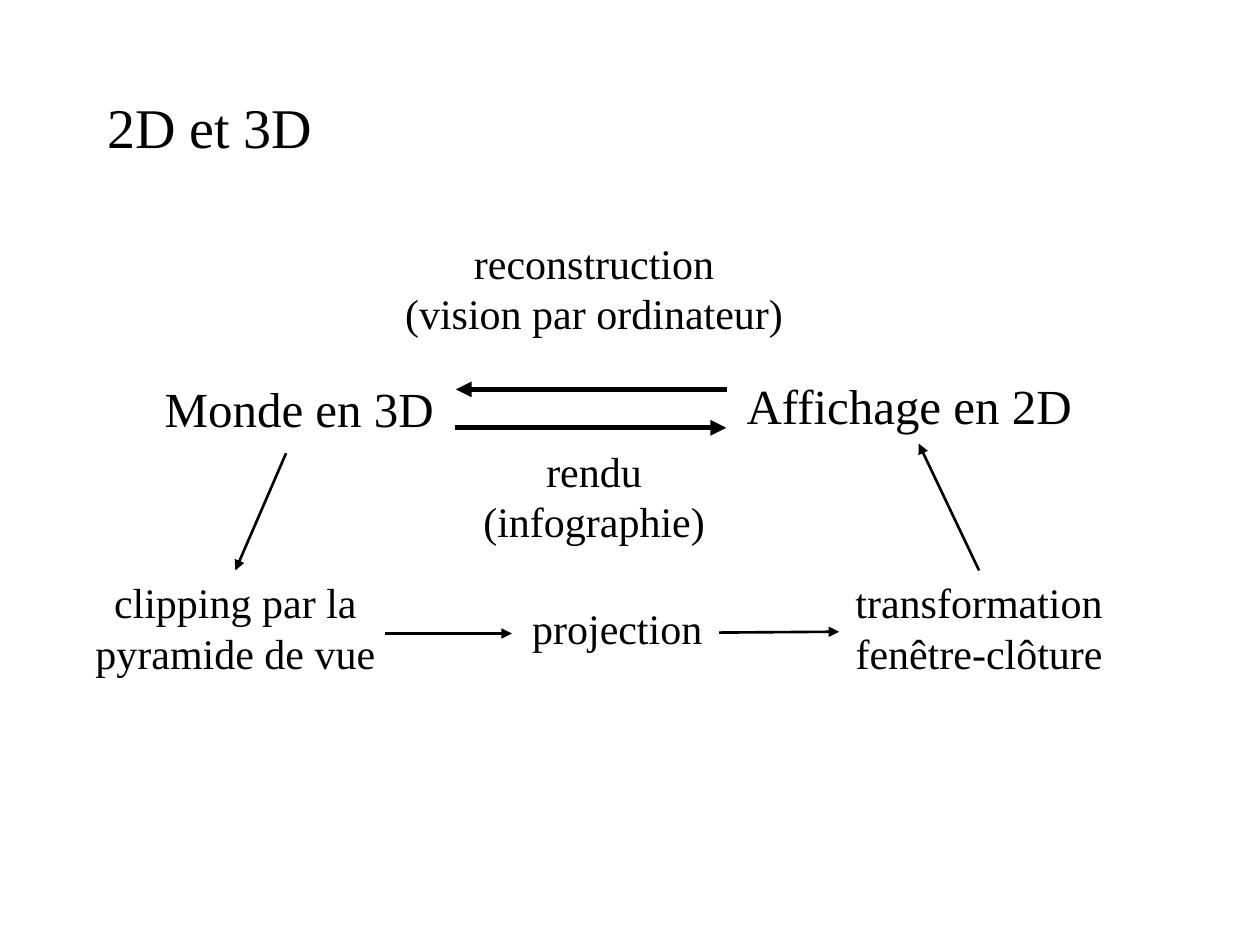
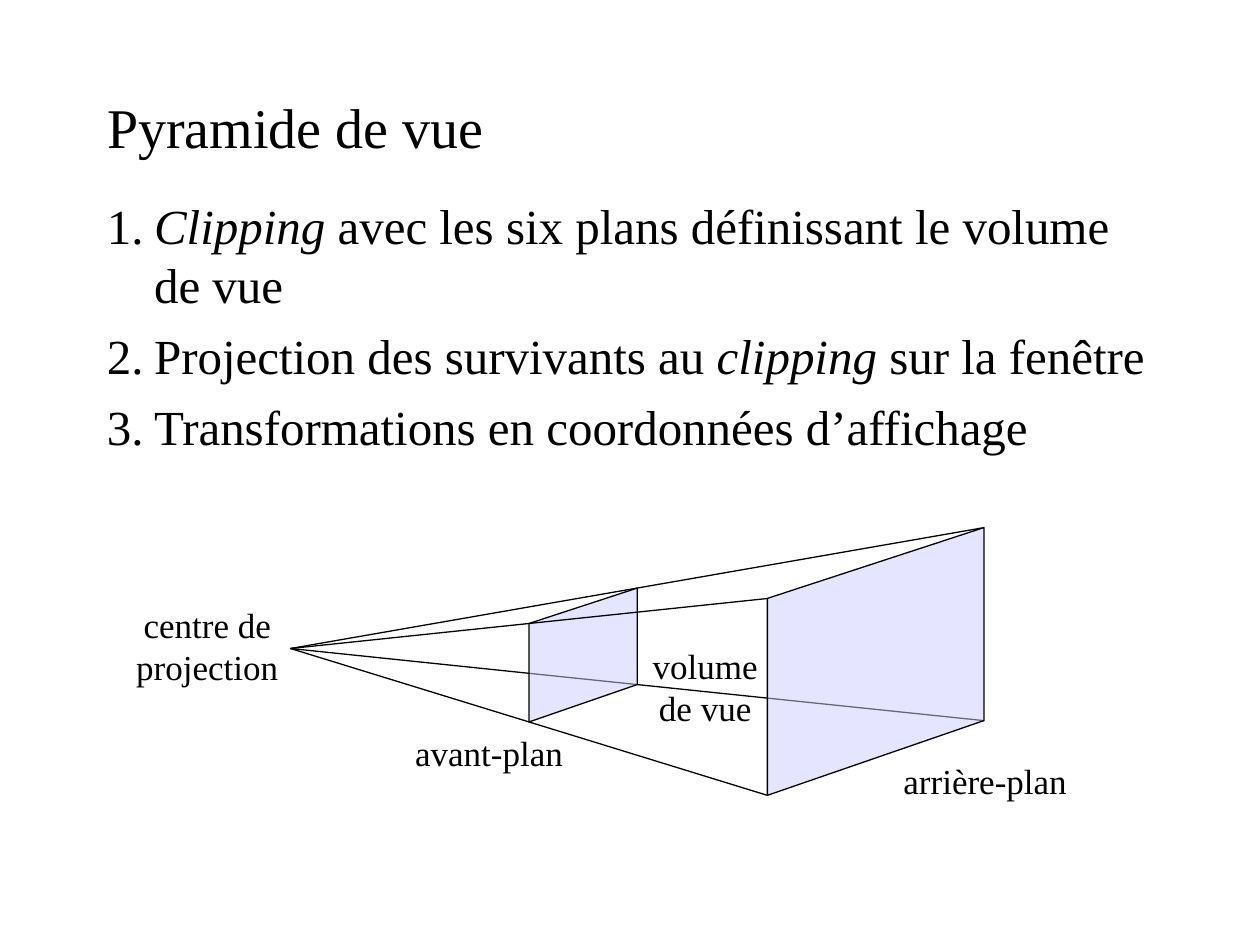
from lxml.etree import SubElement
from pptx import Presentation
from pptx.dml.color import RGBColor
from pptx.enum.shapes import MSO_CONNECTOR
from pptx.enum.text import MSO_ANCHOR, MSO_AUTO_SIZE, PP_ALIGN
from pptx.oxml.ns import qn
from pptx.util import Pt

# Shared style
FONT, BLACK, LILAC = "Times New Roman", "000000", "CCCCFF"
TITLE_BOX = (54, 48, 612, 48)
LEFT, CENTER = PP_ALIGN.LEFT, PP_ALIGN.CENTER

# Slide 1: label -> (lines, box, size, alignment)
CYCLE_LABELS = {
    "world": (["Monde en 3D"], (87, 212.5, 170, 41), 28, LEFT),
    "display": (["Affichage en 2D"], (419.5, 211, 203, 41), 28, LEFT),
    "reconstruction": (["reconstruction", "(vision par ordinateur)"],
                       (221.5, 132, 236, 65), 24, CENTER),
    "rendering": (["rendu", "(infographie)"], (266, 251, 147, 65), 24, CENTER),
    "clipping": (["clipping par la", "pyramide de vue"],
                 (44.5, 326, 180, 65), 24, CENTER),
    "projection": (["projection"], (297, 340.5, 113.5, 36), 24, LEFT),
    "window": (["transformation", "fenêtre-clôture"],
               (478.5, 326, 162, 65), 24, CENTER),
}
# start, end, width, label joined at its top as (start, end)
CYCLE_ARROWS = [
    ((415.5, 222.5), (260.5, 222.5), 3, (None, None)),
    ((260, 244.5), (415, 244.5), 3, (None, None)),
    ((163.5, 259), (134, 323), 1.5, (None, "clipping")),
    ((560, 325), (525, 253.5), 1.5, ("window", None)),
    ((220, 362), (292.5, 362), 1.5, (None, None)),
    ((411, 361.5), (479.5, 361), 1.5, (None, None)),
]

# Slide 2: steps as runs of (text, italic)
STEPS = [
    [("Clipping", True),
     (" avec les six plans définissant le volume de vue", False)],
    [("Projection des survivants au ", False), ("clipping", True),
     (" sur la fenêtre", False)],
    [("Transformations en coordonnées d’affichage", False)],
]
STEPS_BOX, STEP_INDENT = (54, 108, 612, 372), 27
PYRAMID_LABELS = [
    (["centre de", "projection"], (67.5, 341.5, 102, 55.5), 20, CENTER),
    (["volume", "de vue"], (363, 365, 80, 55.5), 20, CENTER),
    (["arrière-plan"], (506, 430.5, 114, 32), 20, CENTER),
    (["avant-plan"], (227, 414.5, 105, 32), 20, CENTER),
]
EYE = (166, 370.6)
BACK_PLANE = [(438.5, 342), (438.5, 454.5), (562.3, 411.8), (562.3, 301.5)]
FRONT_RATIO = 0.5  # front plane's distance from the eye, back plane = 1


def rgb(value):
    return RGBColor.from_string(value)


def pts(values):
    return [Pt(v) for v in values]


def add_run(p, text, size, italic=False):
    r = p.add_run()
    r.text = text
    style = {"name": FONT, "size": Pt(size), "italic": italic}
    for name, value in style.items():
        setattr(r.font, name, value)
    r.font.color.rgb = rgb(BLACK)


def add_title_slide(prs, title):
    s = prs.slides.add_slide(prs.slide_layouts[5])
    sp = s.shapes.title
    sp.left, sp.top, sp.width, sp.height = pts(TITLE_BOX)
    sp.text_frame.vertical_anchor = MSO_ANCHOR.MIDDLE
    p = sp.text_frame.paragraphs[0]
    p.alignment = LEFT
    add_run(p, title, 32)
    return s


def add_label(s, lines, box, size, align):
    sp = s.shapes.add_textbox(*pts(box))
    tf = sp.text_frame
    tf.word_wrap = False
    tf.auto_size = MSO_AUTO_SIZE.SHAPE_TO_FIT_TEXT
    for i, line in enumerate(lines):
        p = tf.add_paragraph() if i else tf.paragraphs[0]
        p.alignment = align
        add_run(p, line, size)
    return sp


def add_line(s, start, end, width, arrow=False):
    c = s.shapes.add_connector(MSO_CONNECTOR.STRAIGHT, *pts(start + end))
    c.line.width = Pt(width)
    c.line.color.rgb = rgb(BLACK)
    spPr = c._element.spPr
    if arrow:
        SubElement(spPr.find(qn("a:ln")), qn("a:tailEnd"), type="triangle")
    SubElement(spPr, qn("a:effectLst"))
    return c


def add_steps(s):
    tf = s.shapes.add_textbox(*pts(STEPS_BOX)).text_frame
    tf.word_wrap = True
    for number, step in enumerate(STEPS, 1):
        p = tf.paragraphs[0] if number == 1 else tf.add_paragraph()
        p.space_before = Pt(7)
        pPr = p._p.get_or_add_pPr()
        pPr.set("marL", str(Pt(STEP_INDENT)))
        pPr.set("indent", str(-Pt(STEP_INDENT)))
        # The number is a run of its own, so it stays upright
        for text, italic in [(f"{number}.\t", False), *step]:
            add_run(p, text, 28, italic)


def add_plane(s, corners):
    first, *rest = [pts(corner) for corner in corners]
    builder = s.shapes.build_freeform(*first)
    builder.add_line_segments(rest, close=True)
    sp = builder.convert_to_shape()
    sp.shadow.inherit = False
    sp.fill.solid()
    sp.fill.fore_color.rgb = rgb(LILAC)
    color = sp._element.spPr.find(qn("a:solidFill"))[0]
    SubElement(color, qn("a:alpha"), val="50000")
    sp.line.width = Pt(0.75)
    sp.line.color.rgb = rgb(BLACK)


def build_cycle(prs):
    s = add_title_slide(prs, "2D et 3D")
    labels = {key: add_label(s, *label) for key, label in CYCLE_LABELS.items()}
    for start, end, width, (source, target) in CYCLE_ARROWS:
        c = add_line(s, start, end, width, arrow=True)
        if source:
            c.begin_connect(labels[source], 0)
        if target:
            c.end_connect(labels[target], 0)


def build_pyramid(prs):
    s = add_title_slide(prs, "Pyramide de vue")
    add_steps(s)
    front_plane = [tuple(e + FRONT_RATIO * (b - e) for e, b in zip(EYE, corner))
                   for corner in BACK_PLANE]
    # The ray to the near top corner passes in front of both planes
    near_top, *other_corners = BACK_PLANE
    for corner in other_corners:
        add_line(s, EYE, corner, 0.75)
    for plane in (BACK_PLANE, front_plane):
        add_plane(s, plane)
    add_line(s, EYE, near_top, 0.75)
    for label in PYRAMID_LABELS:
        add_label(s, *label)


def main():
    prs = Presentation()
    prs.slide_width, prs.slide_height = Pt(720), Pt(540)
    build_cycle(prs)
    build_pyramid(prs)
    prs.save("out.pptx")


if __name__ == "__main__":
    main()
